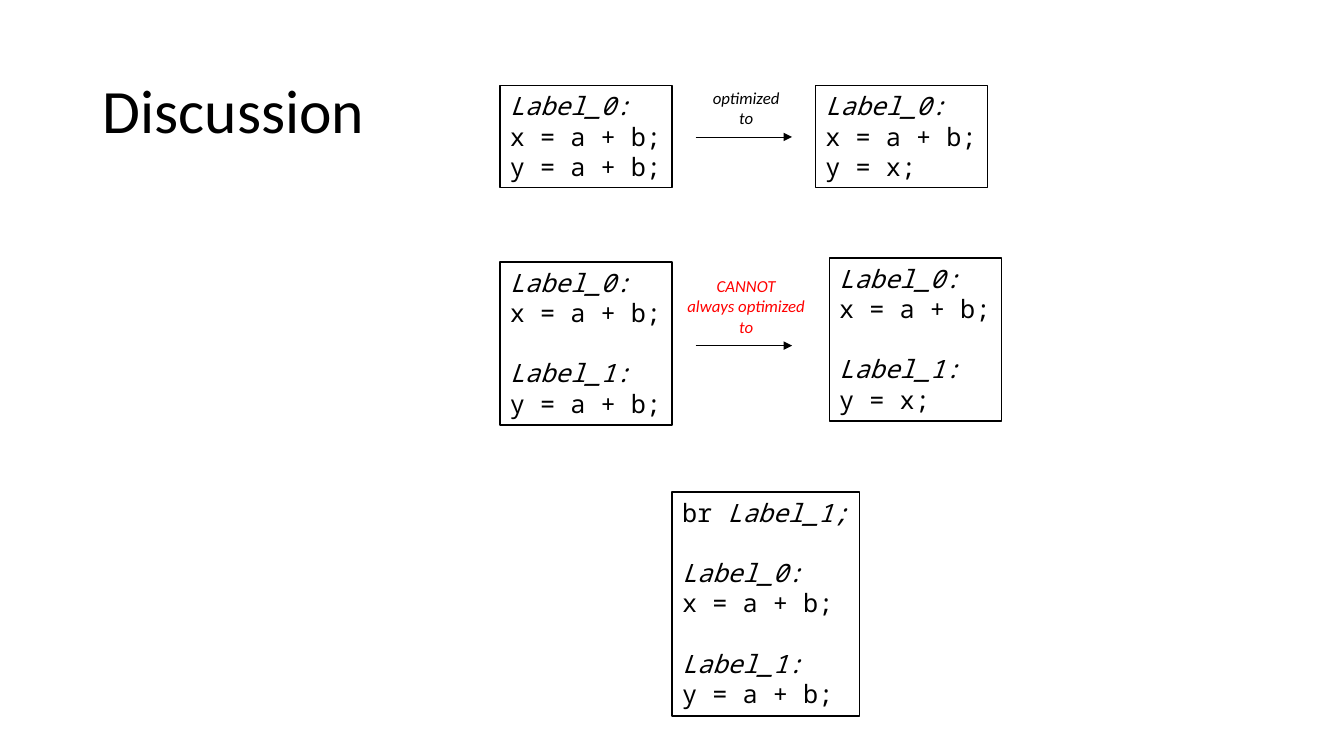
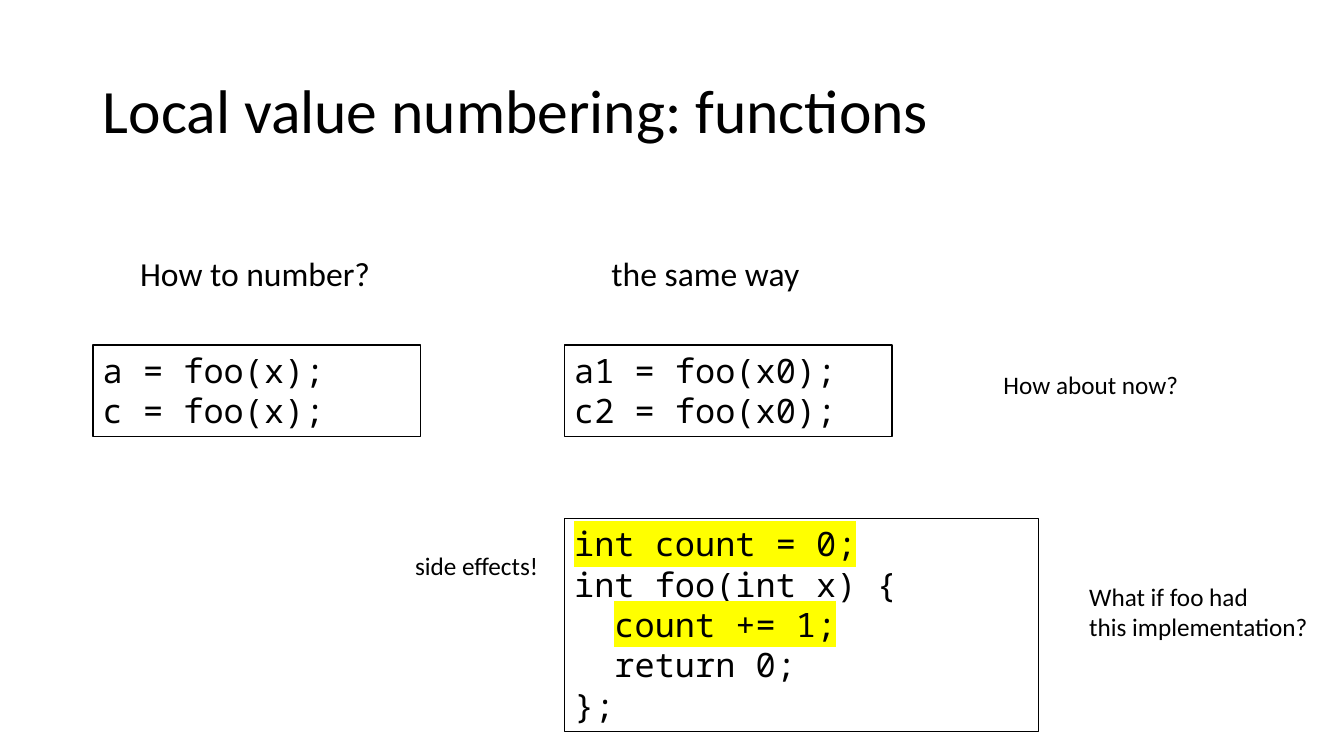
from lxml import etree
from pptx import Presentation
from pptx.dml.color import RGBColor
from pptx.enum import shapes, text
from pptx.oxml import ns
from pptx.util import Cm, Pt

BLACK = RGBColor(0x00, 0x00, 0x00)
WHITE = RGBColor(0xFF, 0xFF, 0xFF)
RED = RGBColor(0xFF, 0x00, 0x00)
YELLOW = RGBColor(0xFF, 0xFF, 0x00)
BODY_FONT = "Calibri"
CODE_FONT = "Noto Sans Mono"
LINE_HEIGHT = 1.2
BOX_WIDTH = 4.34


def style_run(run, name, size, color=BLACK, italic=False):
    font = run.font
    font.name, font.size, font.italic = name, Pt(size), italic
    font.color.rgb = color


def highlight(run):
    """Mark a styled run in yellow; the element belongs before the font name."""
    mark = etree.Element(ns.qn("a:highlight"))
    etree.SubElement(mark, ns.qn("a:srgbClr"), val=str(YELLOW))
    run._r.get_or_add_rPr().find(ns.qn("a:latin")).addprevious(mark)


def add_text(slide, box, content, size, color=BLACK, italic=False, centered=False):
    shape = slide.shapes.add_textbox(*map(Cm, box))
    frame = shape.text_frame
    frame.text = content
    frame.word_wrap = False
    for paragraph in frame.paragraphs:
        if centered:
            paragraph.alignment = text.PP_ALIGN.CENTER
        for run in paragraph.runs:
            style_run(run, BODY_FONT, size, color, italic)
    return frame


def add_title(slide, title):
    frame = add_text(slide, (2.34, 1.02, 29.21, 3.68), title, 44)
    frame.word_wrap = True
    frame.vertical_anchor = text.MSO_ANCHOR.MIDDLE
    frame.paragraphs[0].line_spacing = 0.9


def split_marks(line, marks):
    """Return (part, marked) pairs, cutting the line where a mark begins."""
    for mark in marks:
        before, found, after = line.partition(mark)
        if found:
            return [(before, False), (found + after, True)]
    return [(line, False)]


def add_code(slide, box, code, size, wrap=False, highlighted=()):
    """Outlined code: labels are italic, a blank line becomes space before the next."""
    shape = slide.shapes.add_shape(shapes.MSO_SHAPE.RECTANGLE, *map(Cm, box))
    shape.shadow.inherit = False
    shape.fill.solid()
    shape.fill.fore_color.rgb = WHITE
    shape.line.color.rgb = BLACK
    shape.line.width = Pt(1)
    frame = shape.text_frame
    frame.word_wrap = wrap
    frame.auto_size = text.MSO_AUTO_SIZE.SHAPE_TO_FIT_TEXT
    frame.vertical_anchor = text.MSO_ANCHOR.TOP
    lines = code.split("\n")
    for index, line in enumerate(lines):
        if not line:
            continue
        paragraph = frame.add_paragraph() if index else frame.paragraphs[0]
        paragraph.alignment = text.PP_ALIGN.LEFT
        if index and not lines[index - 1]:
            paragraph.space_before = Pt(size * LINE_HEIGHT)
        for part, marked in split_marks(line, highlighted or ["Label_"]):
            if part:
                run = paragraph.add_run()
                run.text = part
                style_run(run, CODE_FONT, size, italic=marked and not highlighted)
                if marked and highlighted:
                    highlight(run)


def add_arrow(slide, left, top, width):
    arrow = slide.shapes.add_connector(
        shapes.MSO_CONNECTOR.STRAIGHT, Cm(left), Cm(top), Cm(left + width), Cm(top))
    arrow.line.color.rgb = BLACK
    arrow.line.width = Pt(0.5)
    etree.SubElement(arrow.line._get_or_add_ln(), ns.qn("a:tailEnd"), type="triangle")
    etree.SubElement(arrow._element.spPr, ns.qn("a:effectLst"))


def add_rewrite(slide, box, before, after, after_offset, arrow_drop, caption, color=BLACK):
    """Code before and after an optimization, with a captioned arrow between."""
    left, top, width, height = box
    shift, drop = after_offset
    add_code(slide, box, before, 18)
    add_code(slide, (left + shift, top + drop, width, height), after, 18)
    arrow_top = top + arrow_drop
    add_arrow(slide, left + 4.93, arrow_top, 2.43)
    caption_height = 0.25 + 0.51 * len(caption.split("\n"))
    add_text(slide, (left + 4.4, arrow_top - 0.1 - caption_height, 3.61, caption_height),
             caption, 12, color, italic=True, centered=True)


def build_discussion(slide):
    add_title(slide, "Discussion")
    add_rewrite(slide, (12.6, 2.16, BOX_WIDTH, 2.57),
                "Label_0:\nx = a + b;\ny = a + b;",
                "Label_0:\nx = a + b;\ny = x;",
                (7.95, 0), 1.29, "optimized\nto")
    two_blocks = "Label_0:\nx = a + b;\n\nLabel_1:\ny = a + b;"
    add_rewrite(slide, (12.6, 6.6, BOX_WIDTH, 4.11), two_blocks,
                "Label_0:\nx = a + b;\n\nLabel_1:\ny = x;",
                (8.3, -0.1), 2.11, "CANNOT\nalways optimized\nto", RED)
    add_code(slide, (16.94, 12.4, 4.72, 5.64), "br Label_1;\n\n" + two_blocks, 18)


def build_functions(slide):
    add_title(slide, "Local value numbering: functions")
    columns = [
        (2.34, 6.38, "How to number?", "a = foo(x);\nc = foo(x);"),
        (14.22, 5.28, "the same way", "a1 = foo(x0);\nc2 = foo(x0);"),
    ]
    for left, heading_width, heading, code in columns:
        add_text(slide, (left + 0.94, 6.25, heading_width, 1.27), heading, 24)
        add_code(slide, (left, 8.69, 8.26, 2.31), code, 24, wrap=True)
    add_code(slide, (14.22, 13.06, 11.96, 5.38),
             "int count = 0;\nint foo(int x) {\n  count += 1;\n  return 0;\n};",
             24, wrap=True, highlighted=["int count = 0;", "count += 1;"])
    notes = [
        ((25.04, 9.17, 4.98, 1.02), "How about now?"),
        ((27.2, 14.53, 6.07, 1.8), "What if foo had\nthis implementation?"),
        ((10.21, 13.74, 3.66, 1.02), "side effects!"),
    ]
    for box, note in notes:
        add_text(slide, box, note, 18)


def main():
    presentation = Presentation()
    presentation.slide_width = Cm(33.87)
    presentation.slide_height = Cm(19.05)
    blank = presentation.slide_layouts[6]
    for build in (build_discussion, build_functions):
        build(presentation.slides.add_slide(blank))
    presentation.save("out.pptx")


if __name__ == "__main__":
    main()
